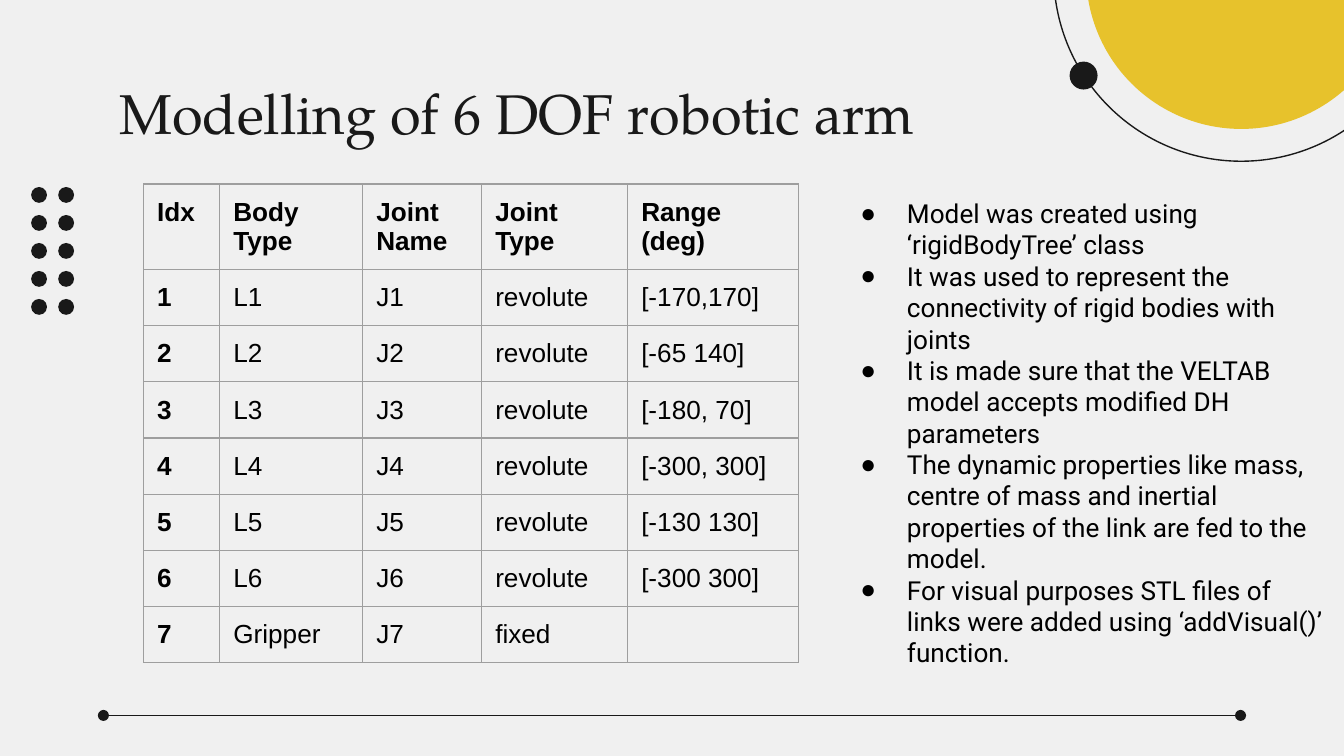
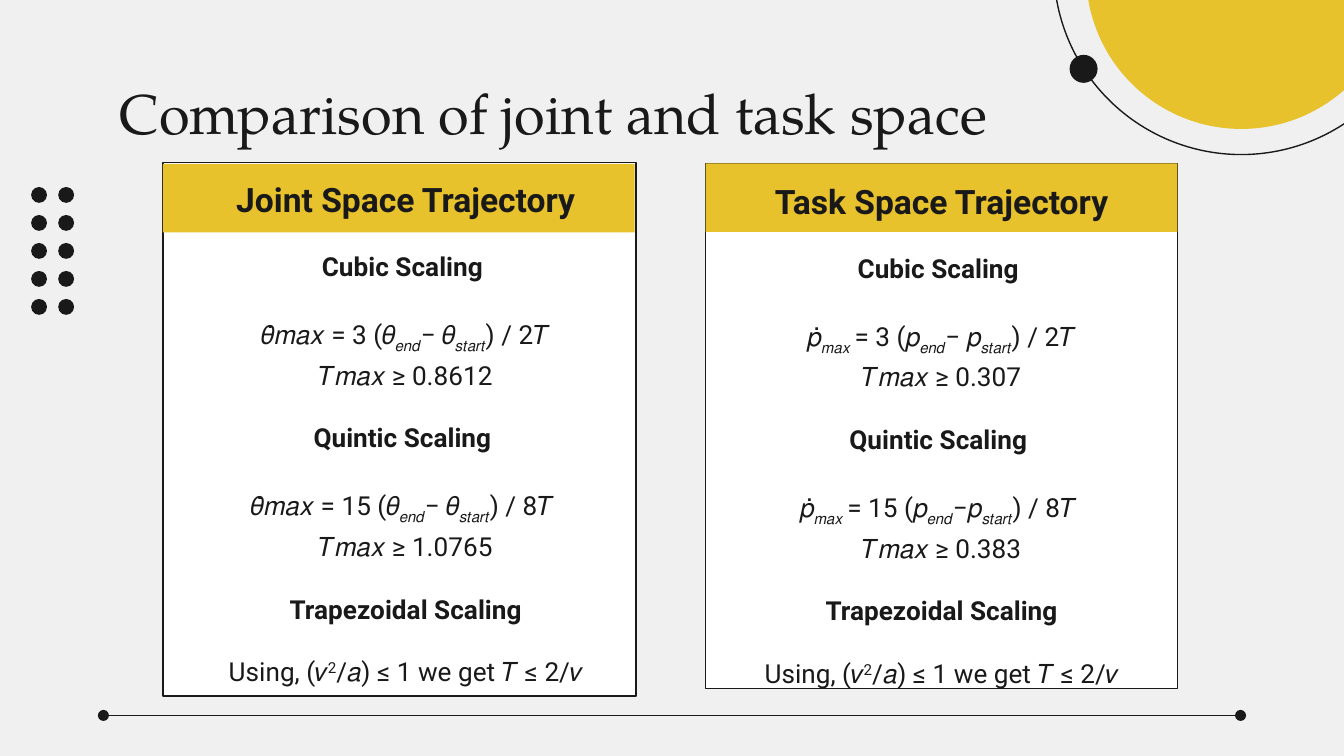
from lxml import etree
from pptx import Presentation
from pptx.dml.color import RGBColor
from pptx.enum import shapes, text
from pptx.oxml.ns import qn
from pptx.util import Pt

PAPER, INK, GOLD, WHITE, BLACK, GRID = "F0F0F0", "191919", "E7C22C", "FFFFFF", "000000", "9E9E9E"
SERIF, SANS, TABLE_FONT = "TeX Gyre Pagella", "Roboto", "Arial"
BODY, INSET, GAP = 14, 7.2, 16.8
OVAL, RECT = shapes.MSO_SHAPE.OVAL, shapes.MSO_SHAPE.RECTANGLE

JOINTS = [
    ["Idx", "Body Type", "Joint Name", "Joint Type", "Range (deg)"],
    ["1", "L1", "J1", "revolute", "[-170,170]"],
    ["2", "L2", "J2", "revolute", "[-65 140]"],
    ["3", "L3", "J3", "revolute", "[-180, 70]"],
    ["4", "L4", "J4", "revolute", "[-300, 300]"],
    ["5", "L5", "J5", "revolute", "[-130 130]"],
    ["6", "L6", "J6", "revolute", "[-300 300]"],
    ["7", "Gripper", "J7", "fixed", ""],
]
JOINT_COLS = [40.8, 76.6, 63.8, 78.2, 91.6]
HEADER_HEIGHT, ROW_HEIGHT = 45.6, 30.1

MODEL_NOTES = [
    "Model was created using ‘rigidBodyTree’ class",
    "It was used to represent the connectivity of rigid bodies with joints",
    "It is made sure that the VELTAB model accepts modified DH parameters",
    "The dynamic properties like mass, centre of mass and inertial properties "
    "of the link are fed to the model.",
    "For visual purposes STL files of links were added using ‘addVisual()’ function.",
]


def rgb(value):
    return RGBColor.from_string(value)


def add_xml(parent, tag, **attrs):
    return etree.SubElement(parent, qn(tag), attrs)


def add_figure(group, kind, x, y, w, h, fill=None, line=None):
    """Add a preset shape, filled and outlined only where a colour is given."""
    sp = group.add_shape(kind, Pt(x), Pt(y), Pt(w), Pt(h))
    sp.shadow.inherit = False
    if fill:
        sp.fill.solid()
        sp.fill.fore_color.rgb = rgb(fill)
    else:
        sp.fill.background()
    if line:
        sp.line.color.rgb = rgb(line)
        sp.line.width = Pt(0.75)
    else:
        sp.line.fill.background()
    return sp


def add_text_frame(s, x, y, w, h):
    tf = s.shapes.add_textbox(Pt(x), Pt(y), Pt(w), Pt(h)).text_frame
    tf.word_wrap = True
    tf.margin_left = tf.margin_right = tf.margin_top = tf.margin_bottom = Pt(INSET)
    return tf


def add_run(p, words, font=SANS, size=BODY, color=INK, bold=False, baseline=0):
    r = p.add_run()
    r.text = words
    r.font.name, r.font.size, r.font.bold = font, Pt(size), bold
    r.font.color.rgb = rgb(color)
    if baseline:
        r.font._element.set("baseline", str(baseline * 1000))


def next_paragraph(tf):
    """Return the empty first paragraph, or a new one after the last."""
    return tf.add_paragraph() if tf.paragraphs[0].runs else tf.paragraphs[0]


def add_dots(s):
    grp = s.shapes.add_group_shape()
    for row in range(5):
        for col in range(2):
            add_figure(grp.shapes, OVAL, 16.7 + 14.5 * col, 100.2 + 15 * row, 8.5, 8.5, INK)


def add_sun(s, ring_top):
    add_figure(s.shapes, OVAL, 581.8, -97.2, 166.3, 166.3, GOLD)
    add_figure(s.shapes, OVAL, 564.5, ring_top, 200.9, 200.9, line=INK)
    add_figure(s.shapes, OVAL, 573, ring_top + 147.5, 15, 15, INK)


def add_footer_line(s):
    y = 383.3
    line = s.shapes.add_connector(shapes.MSO_CONNECTOR.STRAIGHT,
                                  Pt(55.4), Pt(y), Pt(664.6), Pt(y))
    line.line.color.rgb = rgb(INK)
    line.line.width = Pt(0.75)
    ln = line.line._get_or_add_ln()
    for end in ("a:headEnd", "a:tailEnd"):
        add_xml(ln, end, type="oval", w="med", len="med")
    add_xml(line._element.spPr, "a:effectLst")


def add_slide(prs, title, ring_top):
    """Add a blank slide with the title and the shared decoration."""
    s = prs.slides.add_slide(prs.slide_layouts[6])
    s.background.fill.solid()
    s.background.fill.fore_color.rgb = rgb(PAPER)
    add_sun(s, ring_top)
    add_dots(s)
    add_footer_line(s)
    tf = add_text_frame(s, 56.9, 35, 607, 45.4)
    add_run(tf.paragraphs[0], title, SERIF, 30)
    return s


def style_cell(cell):
    tc_pr = cell._tc.get_or_add_tcPr()
    for side in ("a:lnL", "a:lnR", "a:lnT", "a:lnB"):
        ln = add_xml(tc_pr, side, w=str(Pt(0.75)))
        add_xml(add_xml(ln, "a:solidFill"), "a:srgbClr", val=GRID)
    cell.fill.background()
    cell.margin_left = cell.margin_right = cell.margin_top = Pt(INSET)
    cell.margin_bottom = Pt(5)


def add_joint_table(s, x, y):
    height = HEADER_HEIGHT + ROW_HEIGHT * (len(JOINTS) - 1)
    table = s.shapes.add_table(len(JOINTS), len(JOINT_COLS), Pt(x), Pt(y),
                               Pt(sum(JOINT_COLS)), Pt(height)).table
    table.first_row = table.horz_banding = False
    for column, width in zip(table.columns, JOINT_COLS):
        column.width = Pt(width)
    for i, values in enumerate(JOINTS):
        table.rows[i].height = Pt(ROW_HEIGHT if i else HEADER_HEIGHT)
        for j, value in enumerate(values):
            cell = table.cell(i, j)
            style_cell(cell)
            p = cell.text_frame.paragraphs[0]
            if value:
                add_run(p, value, TABLE_FONT, BODY, BLACK, bold=i == 0 or j == 0)
            else:
                end = add_xml(p._p, "a:endParaRPr", sz=str(BODY * 100))
                add_xml(end, "a:latin", typeface=TABLE_FONT)


def add_bullets(s, x, y, w, h, items):
    tf = add_text_frame(s, x, y, w, h)
    for item in items:
        p = next_paragraph(tf)
        p_pr = p._p.get_or_add_pPr()
        p_pr.set("marL", str(Pt(36)))
        p_pr.set("indent", str(Pt(-25)))
        add_xml(add_xml(p_pr, "a:buClr"), "a:srgbClr", val=BLACK)
        add_xml(p_pr, "a:buFont", typeface=TABLE_FONT)
        add_xml(p_pr, "a:buChar", char="●")
        add_run(p, item, color=BLACK)


def add_centred(tf, parts, before=0, spacing=None, baseline=-25, **style):
    """Add a centred paragraph; every second part is shifted to the baseline given."""
    p = next_paragraph(tf)
    p.alignment = text.PP_ALIGN.CENTER
    p.space_before = Pt(before)
    if spacing:
        p.line_spacing = spacing
    for i, part in enumerate(parts):
        if part:
            add_run(p, part, baseline=baseline if i % 2 else 0, **style)


def rate_parts(lead, var, factor, divisor, minus):
    """Split the peak rate formula into alternating normal and subscript parts."""
    return [*lead[:-1], f"{lead[-1]}= {factor} ({var}", "𝑒𝑛𝑑", f"{minus}{var}",
            "𝑠𝑡𝑎𝑟𝑡", f") / {divisor}"]


def add_trajectory_card(s, card, header, body, title, lead, var, scalings):
    add_figure(s.shapes, RECT, *card, fill=WHITE, line=INK)
    add_figure(s.shapes, RECT, *header, fill=GOLD)
    tf = add_text_frame(s, *body)
    add_centred(tf, [title], size=18, bold=True)
    for name, factor, divisor, minus, limit in scalings:
        add_centred(tf, [f"{name} Scaling "], GAP, bold=True)
        add_centred(tf, rate_parts(lead, var, factor, divisor, minus), GAP, 1.15)
        add_centred(tf, [f"𝑇𝑚𝑎𝑥 ≥ {limit}"], spacing=1.15)
    add_centred(tf, ["Trapezoidal Scaling"], GAP, bold=True)
    add_centred(tf, ["Using, (𝑣", "2", "/𝑎) ≤ 1 we get 𝑇 ≤ 2/𝑣"], GAP, baseline=30)


def main():
    prs = Presentation()
    prs.slide_width, prs.slide_height = Pt(720), Pt(405)

    s = add_slide(prs, "Modelling of 6 DOF robotic arm", -114.5)
    add_joint_table(s, 77, 98.6)
    add_bullets(s, 442.8, 98.6, 277.2, 269.3, MODEL_NOTES)

    s = add_slide(prs, "Comparison of joint and task space", -118.1)
    add_trajectory_card(
        s, (87.3, 87.1, 253.4, 285.8), (87.3, 87.8, 252.7, 36.7), (88.1, 88.6, 258.5, 277.2),
        "Joint Space Trajectory", ["𝜃̇𝑚𝑎𝑥 "], "𝜃",
        [("Cubic", 3, "2𝑇", "− ", "0.8612"), ("Quintic", 15, "8𝑇 ", "− ", "1.0765")])
    add_trajectory_card(
        s, (378, 87.6, 252.7, 281.2), (378, 87.6, 252.7, 36.7), (373, 89.6, 262.8, 277.2),
        "Task Space Trajectory", ["𝑝̇", "𝑚𝑎𝑥 ", ""], "𝑝",
        [("Cubic", 3, "2𝑇", "− ", "0.307"), ("Quintic", 15, "8𝑇 ", "−", "0.383")])

    prs.save("out.pptx")


if __name__ == "__main__":
    main()
